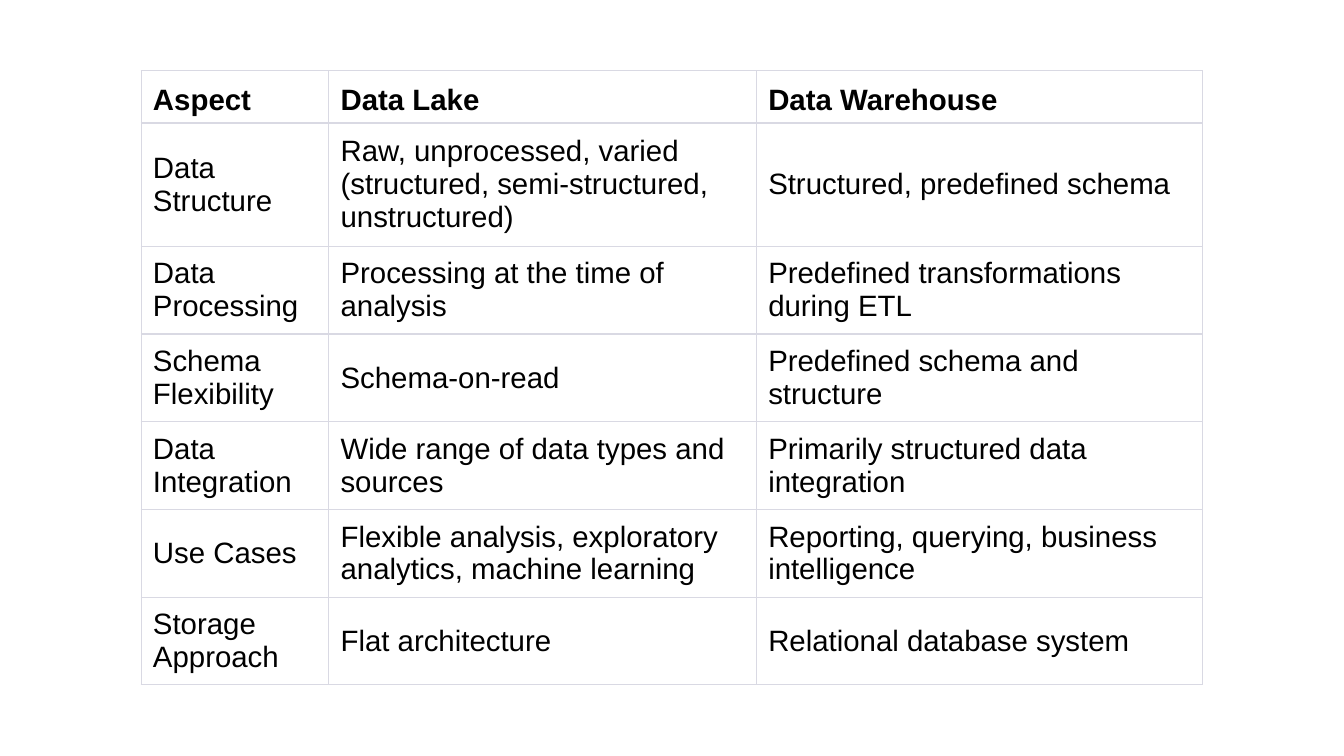
import pptx
import pptx.dml.color
import pptx.enum.text
import pptx.oxml
import pptx.oxml.ns
import pptx.util

Pt = pptx.util.Pt
BLACK = pptx.dml.color.RGBColor(0x00, 0x00, 0x00)
BORDER = pptx.dml.color.RGBColor(0xD9, 0xD9, 0xE3)

COLUMN_WIDTHS = [134, 305.5, 318.5]
ROW_HEIGHTS = [37.5, 88] + [62.7] * 5
TABLE_BOX = (100.8, 50.4, sum(COLUMN_WIDTHS), sum(ROW_HEIGHTS))
CELL_FORMAT = {
    "margin_left": Pt(8.5),
    "margin_right": Pt(8.5),
    "margin_top": Pt(4.25),
    "margin_bottom": Pt(4.25),
}
FONT_FORMAT = {"name": "Arial", "size": Pt(21)}
COMPARISON = [
    ("Aspect", "Data Lake", "Data Warehouse"),
    ("Data Structure",
     "Raw, unprocessed, varied (structured, semi-structured, unstructured)",
     "Structured, predefined schema"),
    ("Data Processing", "Processing at the time of analysis",
     "Predefined transformations during ETL"),
    ("Schema Flexibility", "Schema-on-read", "Predefined schema and structure"),
    ("Data Integration", "Wide range of data types and sources",
     "Primarily structured data integration"),
    ("Use Cases", "Flexible analysis, exploratory analytics, machine learning",
     "Reporting, querying, business intelligence"),
    ("Storage Approach", "Flat architecture", "Relational database system"),
]


def set_borders(cell, widths):
    """Draw the cell borders, given widths in points for L, R, T and B."""
    properties = cell._tc.get_or_add_tcPr()
    for position, (side, width) in enumerate(widths.items()):
        line = pptx.oxml.parse_xml(
            f'<a:ln{side} {pptx.oxml.ns.nsdecls("a")} w="{Pt(width)}">'
            f'<a:solidFill><a:srgbClr val="{BORDER}"/></a:solidFill></a:ln{side}>'
        )
        properties.insert(position, line)


def fill_cell(cell, text, is_header):
    """Write and format the text of one cell."""
    cell.fill.background()
    for name, value in CELL_FORMAT.items():
        setattr(cell, name, value)
    anchors = pptx.enum.text.MSO_ANCHOR
    cell.vertical_anchor = anchors.BOTTOM if is_header else anchors.MIDDLE
    span = cell.text_frame.paragraphs[0].add_run()
    span.text = text
    for name, value in FONT_FORMAT.items():
        setattr(span.font, name, value)
    span.font.bold = is_header
    span.font.color.rgb = BLACK


def add_comparison_table(page, box):
    """Place the comparison table in a box of left, top, width and height."""
    left, top, width, height = box
    frame = page.shapes.add_table(
        len(COMPARISON), len(COLUMN_WIDTHS), Pt(left), Pt(top), Pt(width), Pt(height)
    )
    table = frame.table
    table.first_row = False
    table.horz_banding = False
    for column, share in zip(table.columns, COLUMN_WIDTHS):
        column.width = Pt(width * share / sum(COLUMN_WIDTHS))
    for row, share in zip(table.rows, ROW_HEIGHTS):
        row.height = Pt(height * share / sum(ROW_HEIGHTS))
    last = len(COMPARISON) - 1
    for row_index, texts in enumerate(COMPARISON):
        widths = {
            "L": 0.75,
            "R": 0.75,
            "T": 0.75 if row_index == 0 else 1,
            "B": 0.75 if row_index == last else 1,
        }
        for column_index, text in enumerate(texts):
            cell = table.cell(row_index, column_index)
            fill_cell(cell, text, row_index == 0)
            set_borders(cell, widths)


def main():
    """Build the deck and save it."""
    deck = pptx.Presentation()
    deck.slide_width = Pt(960)
    deck.slide_height = Pt(540)
    page = deck.slides.add_slide(deck.slide_layouts[6])
    add_comparison_table(page, TABLE_BOX)
    deck.save("out.pptx")


if __name__ == "__main__":
    main()
